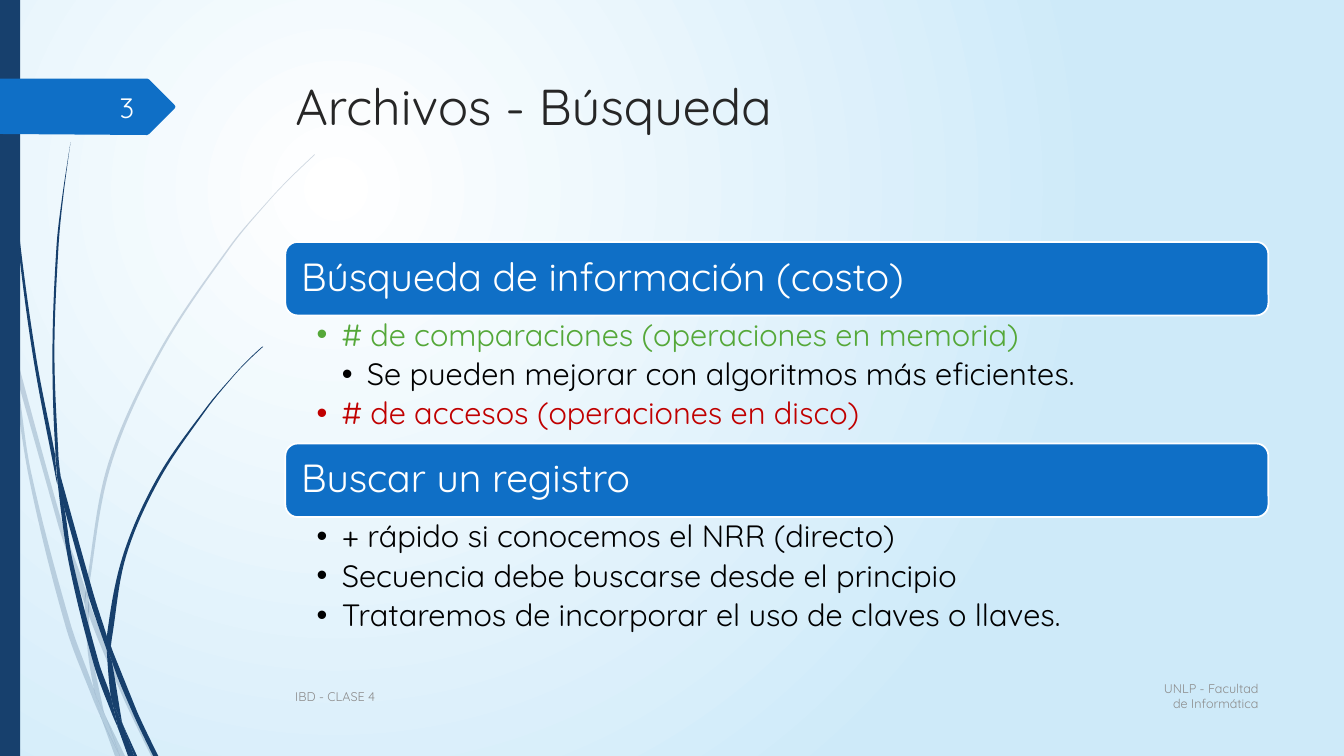
from math import dist

from lxml import etree
from pptx import Presentation
from pptx import util as u
from pptx.dml.color import RGBColor
from pptx.enum import shapes, text
from pptx.oxml import ns

COLORS = {
    "white": "FFFFFF", "sky": "CEEAF9", "navy": "17406D", "blue": "0F6FC6",
    "title": "262626", "black": "000000", "green": "55A839", "red": "C00000",
    "footer": "8C8C8C", "number": "FEFFFF",
}
FONT = "Quicksand"
LEFT, WIDTH = 2.83, 9.75

ARROW = [(0, .78), (1.46, .78), (1.48, .79), (1.73, 1.04), (1.74, 1.06),
         (1.73, 1.08), (1.48, 1.33), (1.46, 1.34), (0, 1.33)]
PALE_BLADES = [
    [(.11, 3.5), (.09, 3.22), (0, 2.82), (0, 2.99), (.1, 3.44)],
    [(.58, 5.22), (.84, 5.99), (.85, 5.86), (.62, 5.2), (.14, 3.45), (.17, 3.76)],
    [(.92, 6.07), (.88, 5.96), (.88, 6.1), (1.23, 6.94), (1.5, 7.5), (1.55, 7.5), (1.27, 6.92)],
    [(1.19, 7.5), (1.24, 7.5), (1.05, 7.11)],
    [(.93, 6.83), (.7, 6.19), (.31, 4.69), (.17, 3.76), (.11, 3.5), (.28, 4.7),
     (.65, 6.21), (.92, 6.93), (1.01, 7.14), (.99, 7.07)],
    [(.84, 5.99), (.87, 6.46), (.93, 6.83), (.96, 6.92), (1.05, 7.11), (1.03, 7.06),
     (.91, 6.46), (.88, 6.1), (.88, 6.08)],
    [(.88, 5.84), (1.1, 4.62), (1.6, 3.49), (2.29, 2.45), (2.68, 1.98), (2.9, 1.75),
     (3.12, 1.54), (3.12, 1.53), (2.89, 1.75), (2.68, 1.97), (2.28, 2.44), (1.58, 3.48),
     (1.07, 4.61), (.85, 5.84), (.85, 5.86), (.88, 5.96)],
    [(1.01, 7.14), (1.14, 7.5), (1.19, 7.5)],
    [(.88, 6.08), (.88, 6.1), (.88, 5.96), (.85, 5.86), (.84, 5.99)],
    [(.96, 6.92), (.93, 6.83), (.99, 7.07), (1.01, 7.14), (1.19, 7.5), (1.05, 7.11)],
]
DARK_BLADES = [
    [(.07, 1.1), (.17, 2.33), (.33, 3.55), (.56, 4.77), (.57, 4.81), (.55, 4.57), (.55, 4.53),
     (.36, 3.55), (.19, 2.32), (.08, 1.09), (.05, .48), (.04, 0), (.03, 0), (.04, .48)],
    [(.88, 5.92), (1.06, 6.45), (1.06, 6.33), (1.06, 6.31), (.93, 5.9), (.6, 4.72), (.64, 5.05)],
    [(1.13, 6.49), (1.1, 6.41), (1.11, 6.56), (1.32, 7.08), (1.52, 7.5), (1.57, 7.5), (1.36, 7.06)],
    [(1.1, 6.91), (.98, 6.57), (.72, 5.56), (.64, 5.05), (.57, 4.77), (.68, 5.57),
     (.93, 6.59), (1.11, 7.08), (1.17, 7.22), (1.16, 7.17)],
    [(.6, 4.72), (.58, 4.53), (.54, 3.49), (.58, 2.45), (.63, 1.93), (.7, 1.41),
     (.62, 1.93), (.56, 2.45), (.52, 3.49), (.55, 4.49)],
    [(1.33, 7.5), (1.36, 7.5), (1.22, 7.19)],
    [(.57, 4.77), (.64, 5.05), (.6, 4.72), (.55, 4.49), (.55, 4.53)],
    [(1.11, 6.33), (1.25, 5.52), (1.58, 4.76), (2.05, 4.06), (2.31, 3.74), (2.45, 3.59),
     (2.61, 3.44), (2.6, 3.44), (2.45, 3.58), (2.31, 3.73), (2.04, 4.05), (1.56, 4.74),
     (1.22, 5.51), (1.06, 6.31), (1.1, 6.41)],
    [(1.17, 7.22), (1.27, 7.5), (1.31, 7.5)],
    [(1.06, 6.45), (1.1, 6.91), (1.16, 7.06), (1.22, 7.19), (1.21, 7.16), (1.11, 6.56), (1.09, 6.51)],
    [(1.06, 6.45), (1.09, 6.51), (1.11, 6.56), (1.1, 6.41), (1.06, 6.31), (1.06, 6.33)],
    [(1.16, 7.06), (1.1, 6.91), (1.16, 7.17), (1.17, 7.22), (1.3, 7.5), (1.33, 7.5), (1.22, 7.19)],
]
SECTIONS = [
    ("Búsqueda de información (costo)", [
        ("# de comparaciones (operaciones en memoria)", 1, "green"),
        ("Se pueden mejorar con algoritmos más eficientes.", 2, "black"),
        ("# de accesos (operaciones en disco)", 1, "red")]),
    ("Buscar un registro", [
        ("+ rápido si conocemos el NRR (directo)", 1, "black"),
        ("Secuencia debe buscarse desde el principio", 1, "black"),
        ("Trataremos de incorporar el uso de claves o llaves.", 1, "black")]),
]


def color(name):
    return RGBColor.from_string(COLORS[name])


def apply(target, **formats):
    for name, value in formats.items():
        setattr(target, name, value)


def place(shape, box):
    apply(shape, **dict(zip(("left", "top", "width", "height"), map(u.Inches, box))))


def set_frame(frame, insets=(.1, .05, .1, .05), anchor=text.MSO_ANCHOR.MIDDLE):
    sides = ("margin_left", "margin_top", "margin_right", "margin_bottom")
    apply(frame, word_wrap=True, auto_size=text.MSO_AUTO_SIZE.NONE,
          vertical_anchor=anchor, **dict(zip(sides, map(u.Inches, insets))))


def write(para, words, size, shade, align=text.PP_ALIGN.LEFT, **formats):
    apply(para, alignment=align, **formats)
    span = para.add_run()
    span.text = words
    apply(span.font, name=FONT, size=u.Pt(size))
    span.font.color.rgb = color(shade)


def paint(shape, shade):
    shape.shadow.inherit = False
    shape.fill.solid()
    shape.fill.fore_color.rgb = color(shade)
    shape.line.fill.background()


def draw_background(page):
    fill = page.background.fill
    fill.gradient()
    for stop, shade, position in zip(fill.gradient_stops, ("white", "sky"), (0, 1)):
        stop.color.rgb = color(shade)
        stop.position = position
    gradient = page._element.find(".//" + ns.qn("a:gradFill"))
    gradient.remove(gradient.find(ns.qn("a:lin")))
    circle = etree.SubElement(gradient, ns.qn("a:path"), {"path": "circle"})
    etree.SubElement(circle, ns.qn("a:fillToRect"),
                     {"l": "50000", "t": "50000", "r": "100000", "b": "100000"})


def tangent(before, point, after):
    arriving, leaving = dist(before, point), dist(point, after)
    turn = sum((p - b) * (a - p) for b, p, a in zip(before, point, after))
    if turn < .7 * arriving * leaving:
        return 0, 0
    return tuple((a - b) / dist(before, after) for b, a in zip(before, after))


def draw_outline(page, points, shade):
    corners = [(u.Inches(x), u.Inches(y)) for x, y in points]
    builder = page.shapes.build_freeform(*corners[0])
    builder.add_line_segments(corners[1:], close=True)
    outline = builder.convert_to_shape()
    paint(outline, shade)
    return outline


def draw_blade(page, points, alpha):
    blade = draw_outline(page, points, "navy")
    ring = [(u.Inches(x) - blade.left, u.Inches(y) - blade.top) for x, y in points]
    slopes = [tangent(ring[i - 1], point, ring[(i + 1) % len(ring)])
              for i, point in enumerate(ring)]
    for i, segment in enumerate(blade._element.iter(ns.qn("a:lnTo"))):
        j = (i + 1) % len(ring)
        reach = dist(ring[i], ring[j]) / 3
        segment.tag = ns.qn("a:cubicBezTo")
        for position, (index, sign) in enumerate(((i, 1), (j, -1))):
            x, y = (round(p + sign * reach * s) for p, s in zip(ring[index], slopes[index]))
            control = etree.Element(ns.qn("a:pt"), {"x": str(x), "y": str(y)})
            segment.insert(position, control)
    if alpha < 100:
        tint = blade._element.spPr.find(".//" + ns.qn("a:srgbClr"))
        etree.SubElement(tint, ns.qn("a:alpha"), {"val": str(alpha * 1000)})


def add_block(page, kind, box, shade):
    block = page.shapes.add_shape(kind, *map(u.Inches, box))
    paint(block, shade)
    return block


def draw_side(page):
    for blades, alpha in ((PALE_BLADES, 20), (DARK_BLADES, 100)):
        for points in blades:
            draw_blade(page, points, alpha)
    add_block(page, shapes.MSO_SHAPE.RECTANGLE, (0, 0, .2, 7.5), "navy")
    draw_outline(page, ARROW, "blue")


def fill_title(title, box):
    place(title, box)
    set_frame(title.text_frame, anchor=text.MSO_ANCHOR.TOP)
    write(title.text_frame.paragraphs[0], "Archivos - Búsqueda", 36, "title")


def fill_list(body, box, items):
    place(body, box)
    frame = body.text_frame
    set_frame(frame, (.31, .04, .22, .04), text.MSO_ANCHOR.TOP)
    for index, (words, level, shade) in enumerate(items):
        para = frame.add_paragraph() if index else frame.paragraphs[0]
        write(para, words, 22, shade, level=level, line_spacing=.9,
              space_before=u.Pt(0), space_after=u.Pt(4.4))
        properties = para._p.get_or_add_pPr()
        properties.set("marL", str(u.Inches(.25 * level)))
        properties.set("indent", str(u.Inches(-.25)))
        etree.SubElement(properties, ns.qn("a:buChar"), {"char": "•"})


def add_section(page, body, box, heading, items):
    left, top, width, height = box
    bar_height = .73
    bar = add_block(page, shapes.MSO_SHAPE.ROUNDED_RECTANGLE,
                    (left, top, width, bar_height), "blue")
    bar.line.color.rgb = color("white")
    bar.line.width = u.Pt(1.25)
    set_frame(bar.text_frame, (.12,) * 4)
    write(bar.text_frame.paragraphs[0], heading, 28, "white", line_spacing=.9)
    fill_list(body, (left, top + bar_height, width, height - bar_height), items)


def add_label(page, box, words, size, shade, align):
    label = page.shapes.add_textbox(*map(u.Inches, box))
    set_frame(label.text_frame)
    write(label.text_frame.paragraphs[0], words, size, shade, align)


def main():
    deck = Presentation()
    apply(deck, slide_width=u.Inches(13.33), slide_height=u.Inches(7.5))
    page = deck.slides.add_slide(deck.slide_layouts[3])
    title, *bodies = page.placeholders
    draw_background(page)
    draw_side(page)
    fill_title(title, (LEFT, .69, WIDTH, 1.4))
    for index, (body, section) in enumerate(zip(bodies, SECTIONS)):
        add_section(page, body, (LEFT, 2.4 + 2 * index, WIDTH, 2), *section)
    right, left = text.PP_ALIGN.RIGHT, text.PP_ALIGN.LEFT
    add_label(page, (11.33, 6.7, 1.25, .41), "UNLP - Facultad de Informática", 9, "footer", right)
    add_label(page, (LEFT, 6.71, 8.33, .4), "IBD - CLASE 4", 9, "footer", left)
    add_label(page, (.58, .86, .85, .4), "3", 20, "number", right)
    deck.save("out.pptx")


if __name__ == "__main__":
    main()
